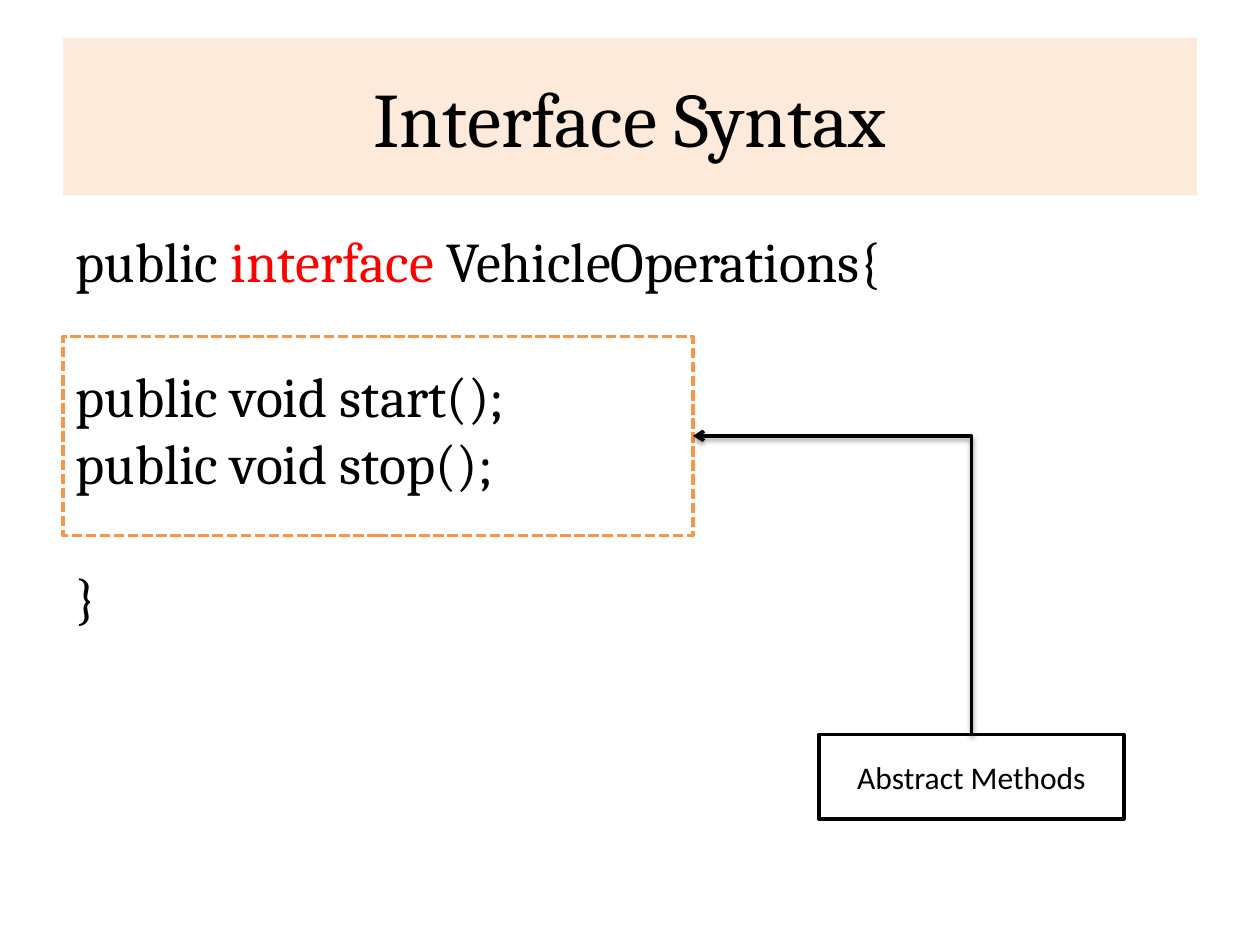
from lxml import etree
from pptx import Presentation
from pptx.dml.color import RGBColor
from pptx.enum.dml import MSO_LINE
from pptx.enum.shapes import MSO_CONNECTOR, MSO_SHAPE
from pptx.enum.text import MSO_ANCHOR, PP_ALIGN
from pptx.oxml import parse_xml
from pptx.oxml.ns import nsdecls, qn
from pptx.util import Inches, Pt

BLACK = RGBColor(0x00, 0x00, 0x00)
WHITE = RGBColor(0xFF, 0xFF, 0xFF)
RED = RGBColor(0xFF, 0x00, 0x00)
ORANGE = RGBColor(0xF7, 0x96, 0x46)
PEACH = RGBColor(0xFD, 0xEA, 0xDA)
CODE_LINE = 38.4  # points from one code line to the next


def add_run(paragraph, text, size, font_name="Cambria", color=BLACK):
    run = paragraph.add_run()
    run.text = text
    run.font.size = Pt(size)
    run.font.name = font_name
    run.font.color.rgb = color


def add_box(left, top, width, height, line_color):
    box = slide.shapes.add_shape(MSO_SHAPE.RECTANGLE, Inches(left), Inches(top),
                                 Inches(width), Inches(height))
    box.shadow.inherit = False
    box.fill.background()
    box.line.color.rgb = line_color
    box.line.width = Pt(2)
    return box


prs = Presentation()
prs.slide_width, prs.slide_height = Inches(10), Inches(7.5)
slide = prs.slides.add_slide(prs.slide_layouts[5])

# Title band
title = slide.shapes.title
title.left, title.top = Inches(0.5), Inches(0.3)
title.width, title.height = Inches(9), Inches(1.25)
title.fill.solid()
title.fill.fore_color.rgb = PEACH
title.text_frame.vertical_anchor = MSO_ANCHOR.MIDDLE
heading = title.text_frame.paragraphs[0]
heading.alignment = PP_ALIGN.CENTER
add_run(heading, "Interface Syntax", 44)

# Code: number of lines left open above, then coloured runs
code_lines = [
    (0, [("public ", BLACK), ("interface ", RED), ("VehicleOperations{", BLACK)]),
    (1, [("public void start();", BLACK)]),
    (0, [("public void stop();", BLACK)]),
    (1, [("}", BLACK)]),
]
code = slide.shapes.add_textbox(Inches(0.5), Inches(1.75), Inches(9), Inches(4.95)).text_frame
code.word_wrap = True
for index, (open_lines, runs) in enumerate(code_lines):
    line = code.paragraphs[0] if index == 0 else code.add_paragraph()
    line.line_spacing = Pt(CODE_LINE)
    line.space_before = Pt(open_lines * CODE_LINE)
    for text, color in runs:
        add_run(line, text, 32, color=color)

# Dashed frame around the methods
methods_frame = add_box(0.5, 2.67, 5, 1.58, ORANGE)
methods_frame.line.dash_style = MSO_LINE.SQUARE_DOT

# Label
label = add_box(6.5, 5.83, 2.42, 0.67, BLACK)
label.fill.solid()
label.fill.fore_color.rgb = WHITE
label.text_frame.vertical_anchor = MSO_ANCHOR.MIDDLE
caption = label.text_frame.paragraphs[0]
caption.alignment = PP_ALIGN.CENTER
add_run(caption, "Abstract Methods", 18, "Calibri")

# Elbow arrow from the label's top up and left to the frame's right side
start_x, start_y = label.left + label.width // 2, label.top
end_x = methods_frame.left + methods_frame.width
end_y = methods_frame.top + methods_frame.height // 2
rise, reach = start_y - end_y, start_x - end_x
left = (start_x + end_x - rise) // 2
top = (start_y + end_y - reach) // 2
arrow = slide.shapes.add_connector(MSO_CONNECTOR.ELBOW, left, top, left + rise, top + reach)
arrow.line.color.rgb = BLACK
arrow.line.width = Pt(2)

# One-bend geometry turned a quarter, arrowhead and soft shadow
arrow_props = arrow._element.spPr
arrow_props.find(qn("a:prstGeom")).set("prst", "bentConnector2")
turn = arrow_props.find(qn("a:xfrm"))
turn.set("rot", str(270 * 60000))
turn.set("flipV", "1")
etree.SubElement(arrow_props.find(qn("a:ln")), qn("a:tailEnd"), type="arrow")
arrow_props.append(parse_xml(
    f'<a:effectLst {nsdecls("a")}>'
    f'<a:outerShdw blurRad="{Pt(3.1)}" dist="{Pt(1.6)}" dir="5400000" rotWithShape="0">'
    '<a:srgbClr val="000000"><a:alpha val="38000"/></a:srgbClr>'
    '</a:outerShdw></a:effectLst>'))

prs.save("out.pptx")
